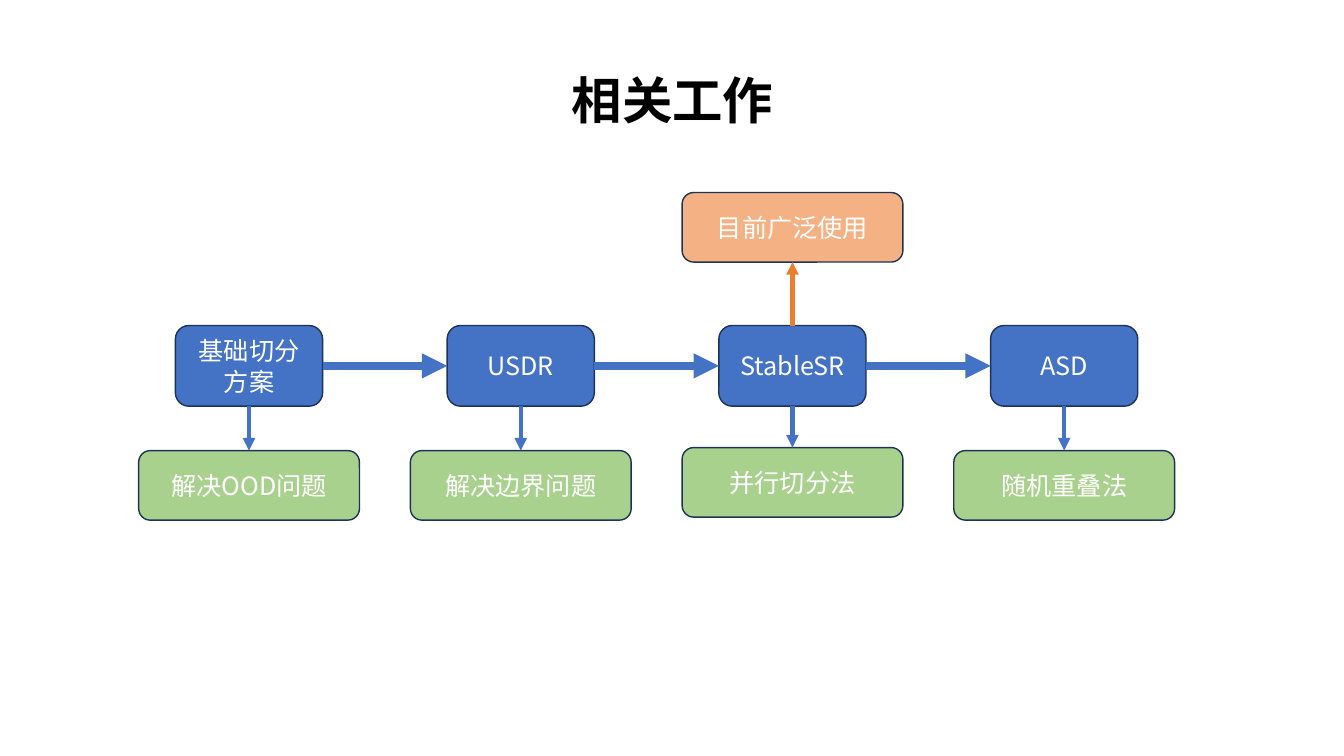
from pptx import Presentation
from pptx.dml.color import RGBColor as RGB
from pptx.enum.shapes import MSO_CONNECTOR as LINK, MSO_SHAPE as SHAPE
from pptx.enum.text import MSO_ANCHOR as ANCHOR, PP_ALIGN as ALIGN
from pptx.oxml.ns import qn
from pptx.util import Inches, Pt
from lxml.etree import SubElement as Sub

BLUE = RGB(0x44, 0x72, 0xC4)
NAVY = RGB(0x1E, 0x32, 0x56)
GREEN = RGB(0xA9, 0xD1, 0x8E)
PEACH = RGB(0xF4, 0xB1, 0x83)
ORANGE = RGB(0xED, 0x7D, 0x31)
WHITE = RGB(0xFF, 0xFF, 0xFF)
BLACK = RGB(0, 0, 0)
FONT = "Noto Sans CJK SC"
TOP, RIGHT, BOTTOM, LEFT = 0, 3, 2, 1

deck = Presentation()
deck.slide_width = Inches(13.33)
deck.slide_height = Inches(7.5)
slide = deck.slides.add_slide(deck.slide_layouts[6])
shapes = slide.shapes


def write(shape, text, size, color):
    para = shape.text_frame.paragraphs[0]
    para.text = text
    para.alignment = ALIGN.CENTER
    font = para.font
    font.size = Pt(size)
    font.color.rgb = color
    font.name = FONT
    props = para._p.get_or_add_pPr().get_or_add_defRPr()
    Sub(props, qn("a:ea"), typeface=FONT)
    return font


def join(start, exit, end, entry, color, width):
    link = shapes.add_connector(LINK.STRAIGHT, 0, 0, 0, 0)
    link.begin_connect(start, exit)
    link.end_connect(end, entry)
    link.line.color.rgb = color
    link.line.width = Pt(width)
    Sub(link.line._get_or_add_ln(), qn("a:tailEnd"), type="triangle")
    Sub(link._element.spPr, qn("a:effectLst"))


title = shapes.add_textbox(Inches(5.56), Inches(0.64), Inches(2.22), Inches(0.71))
title.text_frame.word_wrap = False
write(title, "相关工作", 36, BLACK).bold = True

first, pitch = 2.47, 2.695
step, note = (1.46, 0.8), (2.19, 0.69)
nodes = [
    (0, 3.23, step, BLUE, "基础切分方案"),
    (1, 3.23, step, BLUE, "USDR"),
    (2, 3.23, step, BLUE, "StableSR"),
    (3, 3.23, step, BLUE, "ASD"),
    (0, 4.47, note, GREEN, "解决OOD问题"),
    (1, 4.47, note, GREEN, "解决边界问题"),
    (2, 4.44, note, GREEN, "并行切分法"),
    (3, 4.47, note, GREEN, "随机重叠法"),
    (2, 1.91, note, PEACH, "目前广泛使用"),
]
boxes = []
for col, top, (width, height), color, text in nodes:
    left = first + col * pitch - width / 2
    box = shapes.add_shape(SHAPE.ROUNDED_RECTANGLE, Inches(left), Inches(top),
                           Inches(width), Inches(height))
    box.shadow.inherit = False
    box.fill.solid()
    box.fill.fore_color.rgb = color
    box.line.color.rgb = NAVY
    box.line.width = Pt(1)
    box.text_frame.word_wrap = True
    box.text_frame.vertical_anchor = ANCHOR.MIDDLE
    write(box, text, 18, WHITE)
    boxes.append(box)

steps, notes, usage = boxes[:4], boxes[4:8], boxes[8]
for start, end in zip(steps, steps[1:]):
    join(start, RIGHT, end, LEFT, BLUE, 6)
for start, end in zip(steps, notes):
    join(start, BOTTOM, end, TOP, BLUE, 3)
join(steps[2], TOP, usage, BOTTOM, ORANGE, 3)

deck.save("out.pptx")
